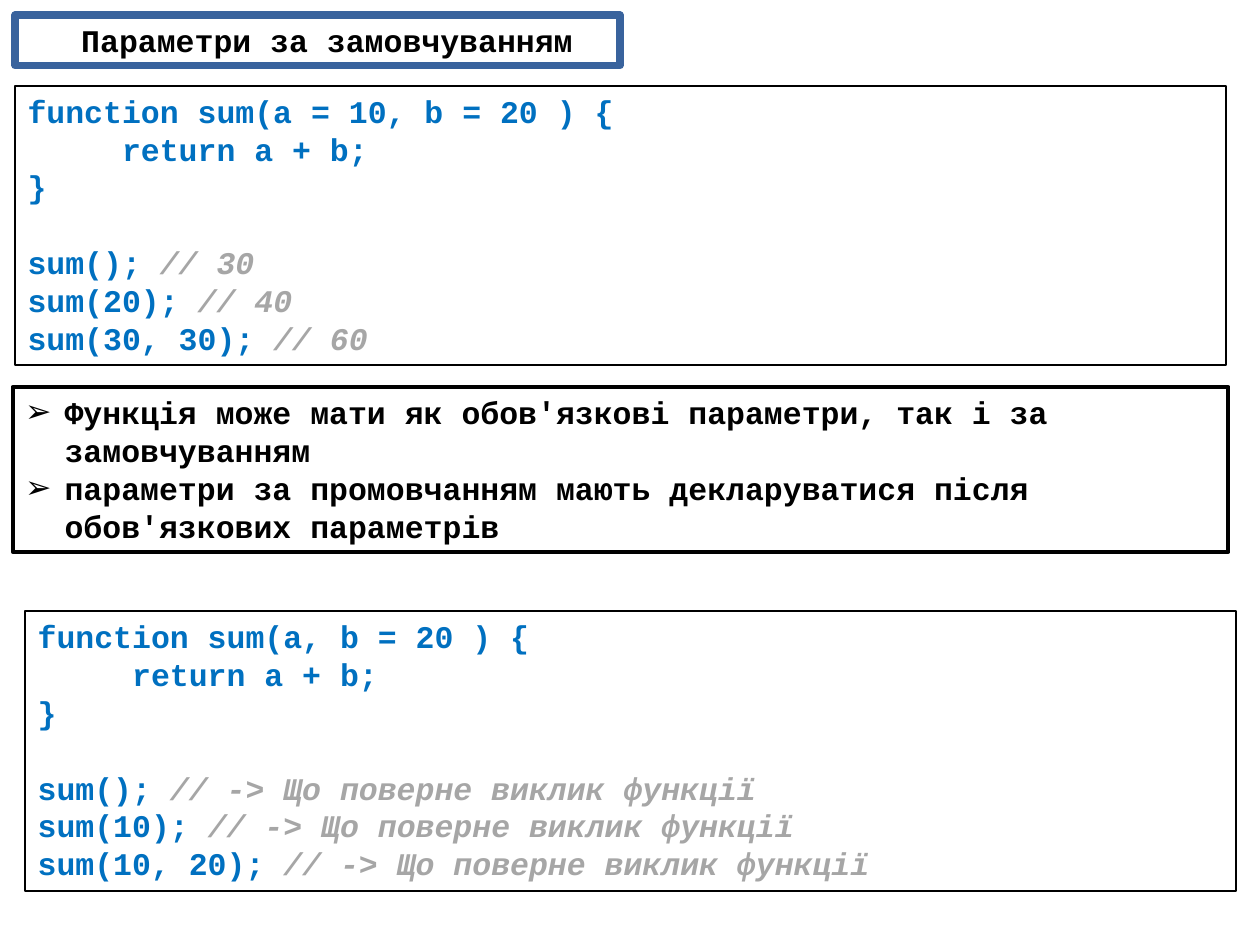
import pptx
import pptx.util
import pptx.dml.color
import pptx.enum.text
import pptx.enum.shapes
import pptx.oxml.ns
from lxml import etree

Pt = pptx.util.Pt
Anchor = pptx.enum.text.MSO_ANCHOR
Align = pptx.enum.text.PP_ALIGN


def color(text):
    return pptx.dml.color.RGBColor.from_string(text)


class Deck:
    font = "Courier New"
    size = 18
    black = "000000"
    blue = "0070C0"
    gray = "A6A6A6"
    frame = "39639D"
    gap = 21.6

    def __init__(self):
        self.prs = pptx.Presentation()
        self.prs.slide_width = Pt(720)
        self.prs.slide_height = Pt(540)
        self.slide = self.prs.slides.add_slide(self.prs.slide_layouts[1])

    def place(self, shape, box, line, width, anchor=Anchor.TOP):
        shape.left, shape.top, shape.width, shape.height = map(Pt, box)
        shape.line.color.rgb = color(line)
        shape.line.width = Pt(width)
        frame = shape.text_frame
        frame.auto_size = pptx.enum.text.MSO_AUTO_SIZE.NONE
        frame.word_wrap = True
        frame.vertical_anchor = anchor
        return frame

    def lines(self, frame, count):
        return [frame.paragraphs[0]] + [frame.add_paragraph() for _ in range(count - 1)]

    def run(self, para, text, tone, slant=False):
        run = para.add_run()
        run.text = text
        font = run.font
        font.name = self.font
        font.size = Pt(self.size)
        font.bold = True
        font.italic = slant
        font.color.rgb = color(tone)

    def title(self, text, box):
        shape = self.slide.shapes.title
        frame = self.place(shape, box, self.frame, 4.33, Anchor.MIDDLE)
        shape.fill.solid()
        shape.fill.fore_color.rgb = color("FFFFFF")
        frame.margin_left = Pt(18)
        para = frame.paragraphs[0]
        para.alignment = Align.CENTER
        self.run(para, text, self.black)

    def list(self, items, box):
        frame = self.place(self.slide.placeholders[1], box, self.black, 2.25)
        for para, text in zip(self.lines(frame, len(items)), items):
            props = para._p.get_or_add_pPr()
            props.set("marL", str(Pt(22.5)))
            props.set("indent", str(Pt(-22.5)))
            para.space_before = Pt(0)
            mark = etree.SubElement(props, pptx.oxml.ns.qn("a:buChar"))
            mark.set("char", "➢")
            self.run(para, text, self.black)

    def code(self, head, calls, box):
        rect = pptx.enum.shapes.MSO_SHAPE.RECTANGLE
        shape = self.slide.shapes.add_shape(rect, 0, 0, 0, 0)
        shape.shadow.inherit = False
        shape.fill.background()
        frame = self.place(shape, box, self.black, 1)
        rows = [(head, ""), ("     return a + b;", ""), ("}", "")] + calls
        for para, (text, note) in zip(self.lines(frame, len(rows)), rows):
            para.alignment = Align.LEFT
            if (text, note) == calls[0]:
                para.space_before = Pt(self.gap)
            self.run(para, text, self.blue)
            if note:
                self.run(para, note, self.gray, True)

    def save(self):
        self.prs.save("out.pptx")


def main():
    deck = Deck()
    deck.title("Параметри за замовчуванням", (8.64, 8.64, 345.6, 28.8))
    deck.code(
        "function sum(a = 10, b = 20 ) {",
        [("sum(); ", "// 30"), ("sum(20); ", "// 40"), ("sum(30, 30); ", "// 60")],
        (8.64, 48.96, 691.92, 159.84),
    )
    deck.list(
        [
            "Функція може мати як обов'язкові параметри, так і за замовчуванням",
            "параметри за промовчанням мають декларуватися після обов'язкових параметрів",
        ],
        (7.2, 221.04, 694.8, 94.32),
    )
    ask = "// -> Що поверне виклик функції"
    deck.code(
        "function sum(a, b = 20 ) {",
        [(call, ask) for call in ("sum(); ", "sum(10); ", "sum(10, 20); ")],
        (14.4, 349.2, 691.92, 159.84),
    )
    deck.save()


if __name__ == "__main__":
    main()
